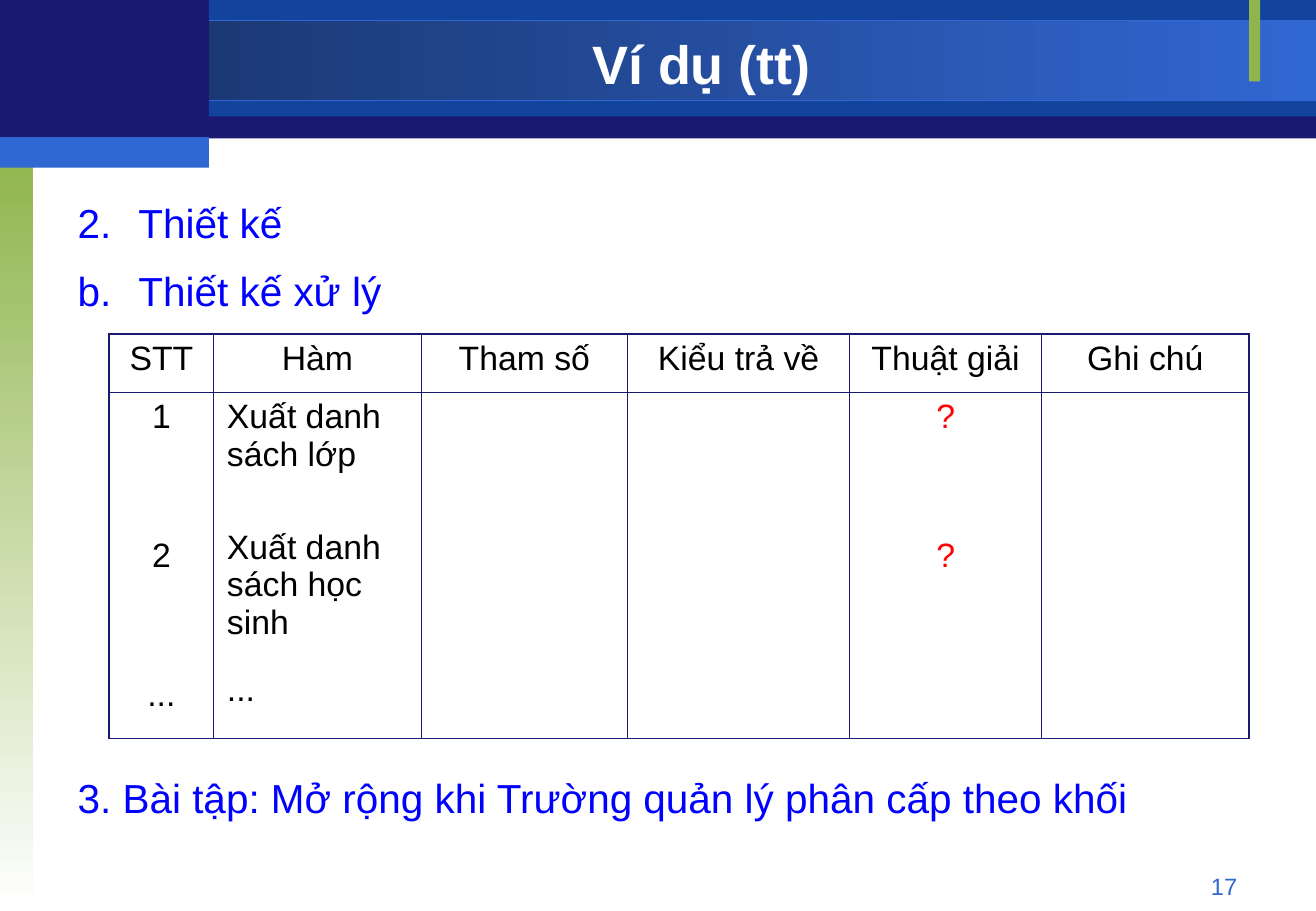
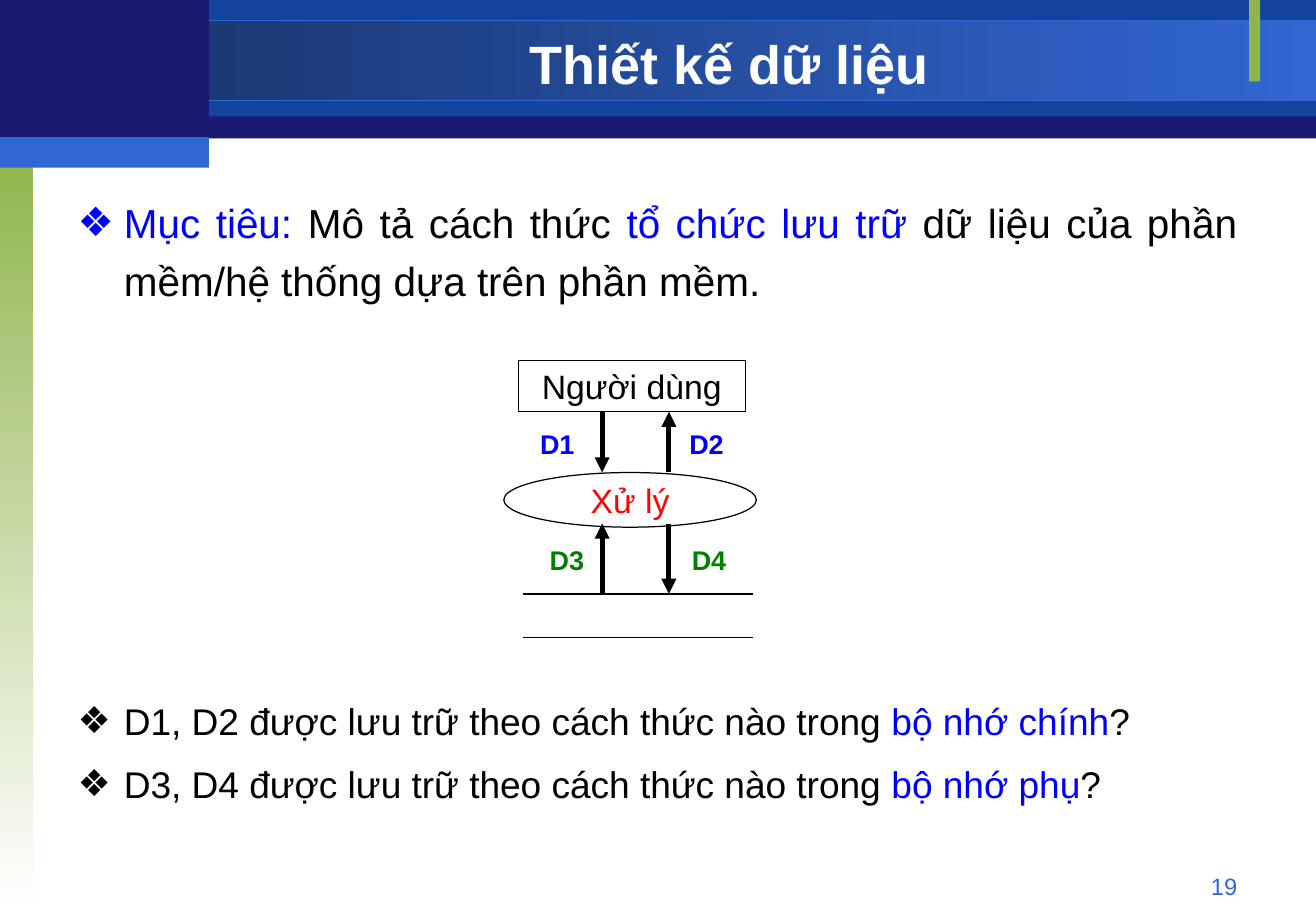
from dataclasses import dataclass
from typing import NamedTuple, Optional

from lxml.etree import SubElement
from pptx import Presentation
from pptx.dml.color import RGBColor
from pptx.enum.shapes import MSO_CONNECTOR, MSO_SHAPE
from pptx.enum.text import MSO_ANCHOR, MSO_AUTO_SIZE, PP_ALIGN
from pptx.oxml.ns import qn
from pptx.util import Inches, Pt


@dataclass(frozen=True)
class Theme:
    font: str = "Arial"
    navy: str = "1A1A70"
    blue: str = "12449E"
    bright: str = "3167D3"
    deep: str = "173062"
    green: str = "90B54D"
    white: str = "FFFFFF"
    black: str = "000000"
    accent: str = "0000FF"
    red: str = "FF0303"
    label_green: str = "008000"
    title: float = 32
    body: float = 24
    question: float = 22
    cell: float = 20
    label: float = 16
    number: float = 14


T = Theme()


class Band(NamedTuple):
    x: float
    y: float
    w: float
    h: float
    color: str
    end: Optional[str] = None
    angle: float = 0
    line: Optional[str] = None


class Bullet(NamedTuple):
    indent: float
    color: str
    char: str = ""
    number: str = ""


class Flow(NamedTuple):
    x: float
    y1: float
    y2: float
    label: str
    label_x: float
    label_y: float
    color: str


BANDS = [
    Band(0, 0.01, 10.84, 1.13, T.navy),
    Band(1.72, 0, 9.12, 0.96, T.blue),
    Band(0, 0.17, 10.84, 0.66, T.deep, T.bright, line=T.bright),
    Band(0, 1.25, 0.27, 6.25, T.green, T.white, angle=270),
    Band(10.29, 0, 0.09, 0.67, T.green),
    Band(0, 0, 1.72, 1.17, T.navy),
    Band(0, 1.13, 1.72, 0.25, T.bright),
]


# Text and shape helpers
def rgb(value: str) -> RGBColor:
    return RGBColor.from_string(value)


def write(p, text: str, *, size: float, color: str = T.black, bold: bool = False,
          align=PP_ALIGN.LEFT, before: float = 0, spacing: float = 1.0) -> None:
    """Append a run to a paragraph and set the paragraph's layout."""
    p.alignment, p.space_before, p.line_spacing = align, Pt(before), spacing
    r = p.add_run()
    r.text = text
    r.font.name, r.font.size, r.font.bold = T.font, Pt(size), bold
    r.font.color.rgb = rgb(color)


def next_paragraph(tf):
    return tf.paragraphs[0] if not tf.paragraphs[0].runs else tf.add_paragraph()


def set_bullet(p, bullet: Bullet) -> None:
    pPr = p._p.get_or_add_pPr()
    pPr.set("marL", str(Inches(bullet.indent)))
    pPr.set("indent", str(-Inches(bullet.indent)))
    if not (bullet.char or bullet.number):
        SubElement(pPr, qn("a:buNone"))
        return
    SubElement(SubElement(pPr, qn("a:buClr")), qn("a:srgbClr"), val=bullet.color)
    SubElement(pPr, qn("a:buFont"), typeface=T.font)
    if bullet.char:
        SubElement(pPr, qn("a:buChar"), char=bullet.char)
    else:
        SubElement(pPr, qn("a:buAutoNum"), type=bullet.number, startAt="2")


def add_item(tf, runs: list[tuple[str, str]], bullet: Bullet, size: float = T.body,
             before: float = 0) -> None:
    p = next_paragraph(tf)
    set_bullet(p, bullet)
    for text, color in runs:
        write(p, text, size=size, color=color, align=PP_ALIGN.JUSTIFY,
              before=before, spacing=1.2)


def add_text_box(slide, x: float, y: float, w: float, h: float, text: str,
                 wrap: bool = False, **fmt) -> None:
    tf = slide.shapes.add_textbox(Inches(x), Inches(y), Inches(w), Inches(h)).text_frame
    tf.word_wrap = wrap
    write(tf.paragraphs[0], text, **fmt)


def add_band(slide, band: Band):
    s = slide.shapes.add_shape(MSO_SHAPE.RECTANGLE, Inches(band.x), Inches(band.y),
                               Inches(band.w), Inches(band.h))
    s.shadow.inherit = False
    if band.end:
        s.fill.gradient()
        s.fill.gradient_angle = band.angle
        for stop, color in zip(s.fill.gradient_stops, (band.color, band.end)):
            stop.color.rgb = rgb(color)
    else:
        s.fill.solid()
        s.fill.fore_color.rgb = rgb(band.color)
    if band.line:
        s.line.color.rgb, s.line.width = rgb(band.line), Pt(0.75)
    else:
        s.line.fill.background()
    return s


def add_node(slide, kind, x: float, y: float, w: float, h: float, text: str,
             color: str) -> None:
    s = slide.shapes.add_shape(kind, Inches(x), Inches(y), Inches(w), Inches(h))
    s.shadow.inherit = False
    s.fill.background()
    s.line.color.rgb, s.line.width = rgb(T.black), Pt(0.75)
    tf = s.text_frame
    tf.word_wrap, tf.vertical_anchor = False, MSO_ANCHOR.MIDDLE
    write(tf.paragraphs[0], text, size=T.cell, color=color, align=PP_ALIGN.CENTER)


def add_line(slide, x1: float, y1: float, x2: float, y2: float, width: float = 0.75,
             arrow: bool = False) -> None:
    c = slide.shapes.add_connector(MSO_CONNECTOR.STRAIGHT, Inches(x1), Inches(y1),
                                   Inches(x2), Inches(y2))
    c.line.color.rgb, c.line.width = rgb(T.black), Pt(width)
    spPr = c.element.spPr
    if arrow:
        SubElement(spPr.find(qn("a:ln")), qn("a:tailEnd"), type="triangle")
    SubElement(spPr, qn("a:effectLst"))


# Shared look
def dress_layout(layout, slide) -> None:
    """Draw the bands and move them behind the layout's placeholders."""
    bands = [add_band(slide, band) for band in BANDS]
    for i, s in enumerate(bands):
        s.element.nvSpPr.cNvPr.id = 20 + i
        layout.shapes.element.insert(2 + i, s.element)
    body = layout.placeholders[1]
    body.left, body.top = Inches(0.54), Inches(1.5)
    body.width, body.height = Inches(9.75), Inches(5.5)


def start_slide(slide, title: str, width: float, number: str):
    """Fill title and page number; return the body's text frame."""
    s = slide.shapes.title
    s.left, s.top, s.width, s.height = Inches(1.72), Inches(0.23), Inches(width), Inches(0.58)
    tf = s.text_frame
    tf.vertical_anchor, tf.auto_size = MSO_ANCHOR.MIDDLE, MSO_AUTO_SIZE.NONE
    write(tf.paragraphs[0], title, size=T.title, color=T.white, bold=True,
          align=PP_ALIGN.CENTER)
    add_text_box(slide, 7.76, 7.13, 2.53, 0.27, number, wrap=True, size=T.number,
                 color=T.bright, align=PP_ALIGN.RIGHT)
    body = slide.placeholders[1].text_frame
    body.auto_size = MSO_AUTO_SIZE.NONE
    return body


# Function table
COLUMNS = [("STT", 0.86), ("Hàm", 1.71), ("Tham số", 1.7), ("Kiểu trả về", 1.83),
           ("Thuật giải", 1.58), ("Ghi chú", 1.71)]
ROW_HEIGHTS = [0.48, 2.85]
# Column: colour, alignment, (text, space before)
CONTENT = {
    0: (T.black, PP_ALIGN.CENTER, [("1", 0), ("2", 60), ("...", 60)]),
    1: (T.black, PP_ALIGN.LEFT, [("Xuất danh sách lớp", 0),
                                 ("Xuất danh sách học sinh", 32.5), ("...", 17.5)]),
    4: (T.red, PP_ALIGN.CENTER, [("?", 0), ("?", 60)]),
}


def set_borders(cell, outer: dict[str, bool]) -> None:
    tcPr = cell._tc.get_or_add_tcPr()
    for i, (side, is_outer) in enumerate(outer.items()):
        ln = SubElement(tcPr, qn(f"a:ln{side}"), w=str(Pt(1.08 if is_outer else 0.45)))
        SubElement(SubElement(ln, qn("a:solidFill")), qn("a:srgbClr"), val=T.navy)
        tcPr.insert(i, ln)


def add_function_table(slide) -> None:
    last_row, last_col = len(ROW_HEIGHTS) - 1, len(COLUMNS) - 1
    table = slide.shapes.add_table(
        len(ROW_HEIGHTS), len(COLUMNS), Inches(0.9), Inches(2.75),
        Inches(sum(w for _, w in COLUMNS)), Inches(sum(ROW_HEIGHTS))).table
    table.first_row = table.horz_banding = False
    for row, height in zip(table.rows, ROW_HEIGHTS):
        row.height = Inches(height)
    for c, (heading, width) in enumerate(COLUMNS):
        table.columns[c].width = Inches(width)
        header = (T.black, PP_ALIGN.CENTER, [(heading, 0)])
        for r, content in enumerate((header, CONTENT.get(c))):
            cell = table.cell(r, c)
            cell.margin_left = cell.margin_right = Inches(0.11)
            cell.fill.background()
            set_borders(cell, {"L": c == 0, "R": c == last_col,
                               "T": r == 0, "B": r == last_row})
            if content:
                color, align, lines = content
                for text, before in lines:
                    write(next_paragraph(cell.text_frame), text, size=T.cell,
                          color=color, align=align, before=before)


# Slides
def build_example(slide) -> None:
    body = start_slide(slide, "Ví dụ (tt)", 8.12, "17")
    add_item(body, [("Thiết kế", T.accent)], Bullet(0.5, T.accent, number="arabicPeriod"))
    add_item(body, [("Thiết kế xử lý", T.accent)],
             Bullet(0.5, T.accent, number="alphaLcPeriod"), before=6)
    add_item(body, [("3. Bài tập: Mở rộng khi Trường quản lý phân cấp theo khối", T.accent)],
             Bullet(0.5, T.accent), before=266)
    add_function_table(slide)


FLOWS = [
    Flow(4.96, 3.39, 3.89, "D1", 4.35, 3.47, T.accent),
    Flow(5.51, 3.89, 3.39, "D2", 5.58, 3.47, T.accent),
    Flow(4.96, 4.89, 4.31, "D3", 4.43, 4.43, T.label_green),
    Flow(5.51, 4.31, 4.89, "D4", 5.6, 4.43, T.label_green),
]


def build_data_design(slide) -> None:
    body = start_slide(slide, "Thiết kế dữ liệu", 8.58, "19")
    add_item(body, [("Mục tiêu:", T.accent), (" Mô tả cách thức ", T.black),
                    ("tổ chức lưu trữ", T.accent),
                    (" dữ liệu của phần mềm/hệ thống dựa trên phần mềm.", T.black)],
             Bullet(0.38, T.accent, "❖"))
    for data, memory, before in (("D1, D2", "bộ nhớ chính", 228), ("D3, D4", "bộ nhớ phụ", 5.5)):
        add_item(body, [(f"{data} được lưu trữ theo cách thức nào trong ", T.black),
                        (memory, T.accent), ("?", T.black)],
                 Bullet(0.38, T.black, "❖"), T.question, before)

    # Data flow diagram
    add_node(slide, MSO_SHAPE.RECTANGLE, 4.27, 2.97, 1.87, 0.42, "Người dùng", T.black)
    for y in (4.89, 5.25):
        add_line(slide, 4.31, y, 6.2, y)
    for flow in FLOWS:
        add_line(slide, flow.x, flow.y1, flow.x, flow.y2, width=3, arrow=True)
        add_text_box(slide, flow.label_x, flow.label_y, 0.48, 0.37, flow.label,
                     size=T.label, color=flow.color, bold=True)
    add_node(slide, MSO_SHAPE.OVAL, 4.15, 3.89, 2.08, 0.45, "Xử lý", T.red)


def main() -> None:
    prs = Presentation()
    prs.slide_width, prs.slide_height = Inches(10.84), Inches(7.5)
    layout = prs.slide_layouts[1]
    example, data_design = (prs.slides.add_slide(layout) for _ in range(2))
    dress_layout(layout, example)
    build_example(example)
    build_data_design(data_design)
    prs.save("out.pptx")


if __name__ == "__main__":
    main()
